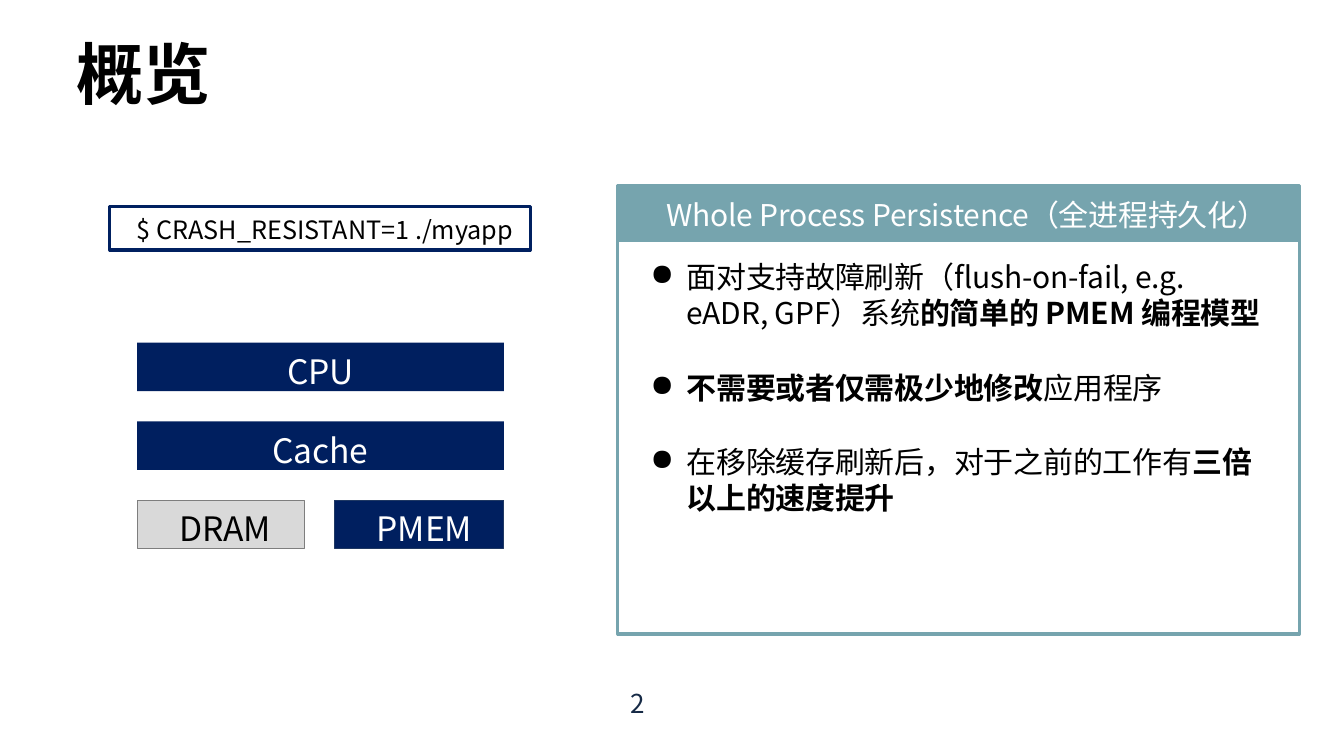
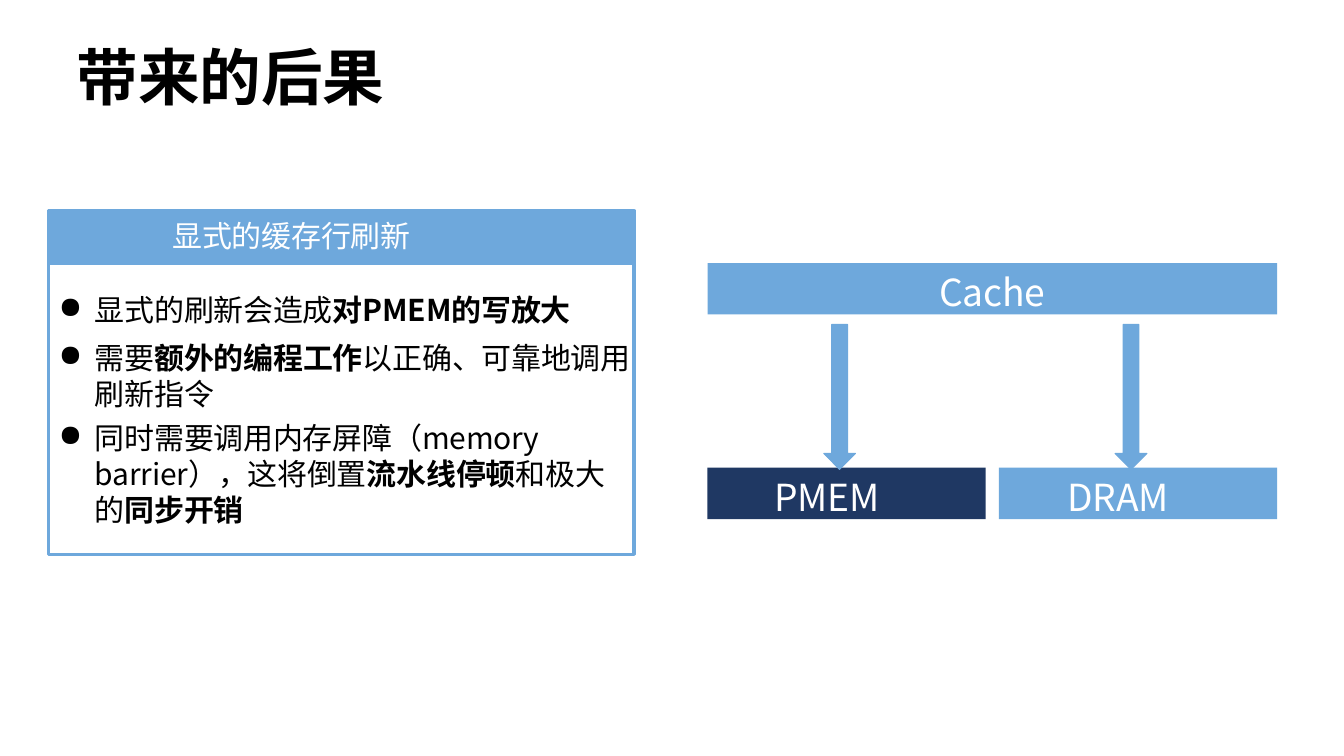
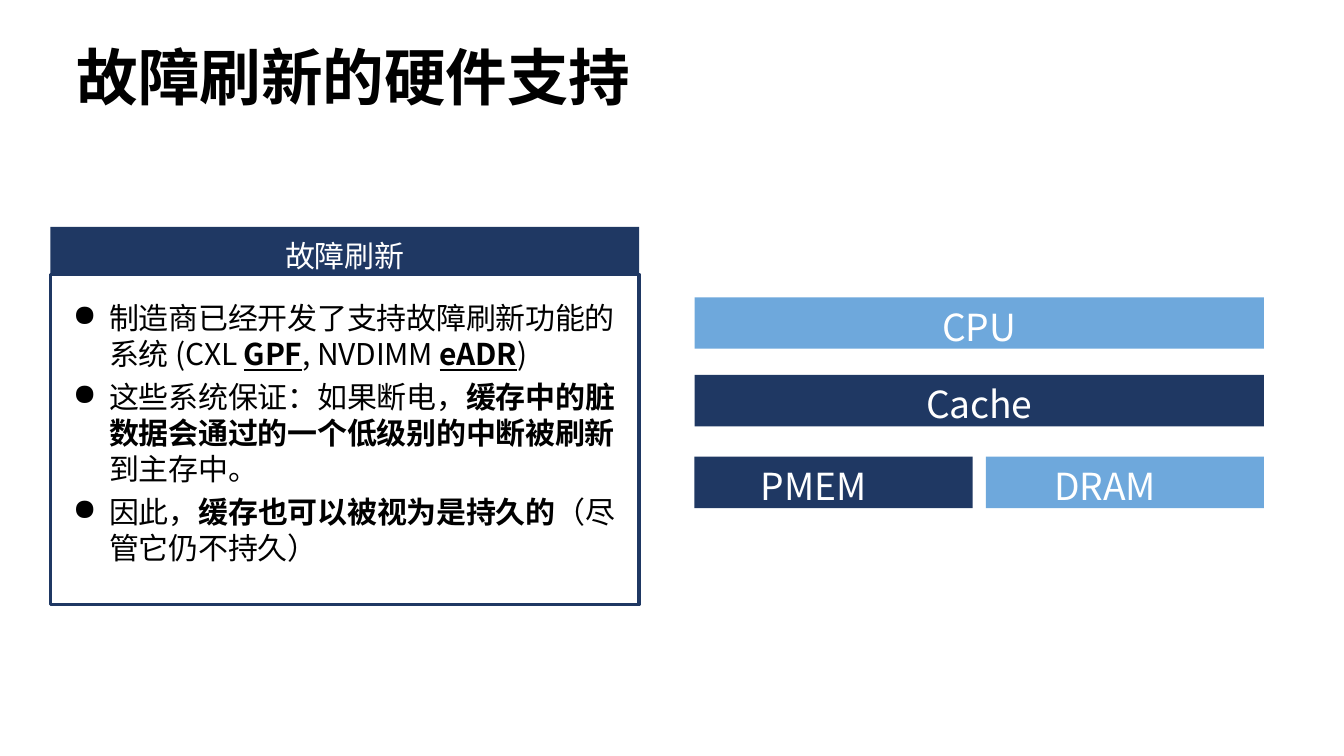
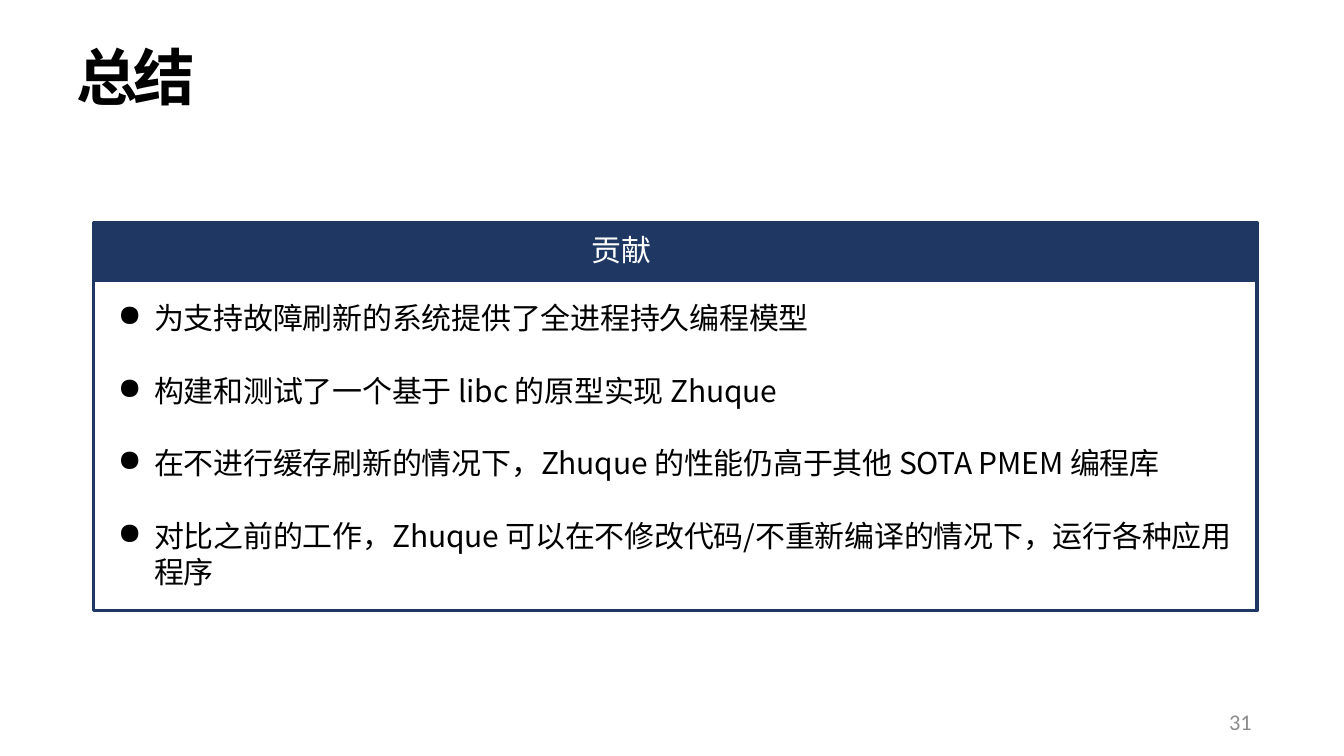
"""Four slides on whole process persistence."""
from pptx import Presentation
from pptx import util as u
from pptx.dml import color
from pptx.enum import shapes, text
from pptx.oxml import ns, xmlchemy as xml

Pt = u.Pt
FONT = "Noto Sans CJK SC"
HUES = {
    "black": "000000", "white": "FFFFFF", "teal": "76A4AE", "deep": "001F5F",
    "edge": "002060", "navy": "1F3863", "sky": "6EA8DC", "pale": "D9D9D9",
    "grey": "7E7E7E", "ink": "162A46", "mist": "8C8C8C",
}
SIDES = {"left": text.PP_ALIGN.LEFT, "mid": text.PP_ALIGN.CENTER,
         "right": text.PP_ALIGN.RIGHT}
BODY = 21.4
LABEL = 26.6
HANG = 25.9
BAR = 36.7
WIDE = 406.8
HALF = 198.7
STEP = WIDE - HALF


def hue(name):
    """Return a named colour."""
    return color.RGBColor.from_string(HUES[name])


def child(node, tag, **attrs):
    """Append an XML child with attributes."""
    item = xml.OxmlElement(tag)
    for key, val in attrs.items():
        item.set(key, val)
    node.append(item)


def write(box, lines, size=BODY, tone="black", font=FONT, side="left",
          pads=(0, 1.4, 0), bold=False, spc=-0.1, indent=0, gaps=(),
          lead=None, middle=False):
    """Fill a box with paragraphs; a run is a string or (string, marks)."""
    frame = box.text_frame
    frame.word_wrap = True
    frame.margin_left, frame.margin_top, frame.margin_right = map(Pt, pads)
    frame.margin_bottom = 0
    frame.vertical_anchor = (text.MSO_ANCHOR.MIDDLE if middle
                             else text.MSO_ANCHOR.TOP)
    for num, runs in enumerate(lines):
        para = frame.add_paragraph() if num else frame.paragraphs[0]
        if indent:
            props = para._p.get_or_add_pPr()
            props.set("marL", str(Pt(indent)))
            props.set("indent", str(-Pt(HANG)))
            child(props, "a:buChar", char="●")
        para.alignment = SIDES[side]
        if lead:
            para.line_spacing = lead
        if num and gaps:
            para.space_before = Pt(gaps[num - 1])
        for part in [runs] if isinstance(runs, str) else runs:
            words, marks = (part, "") if isinstance(part, str) else part
            run = para.add_run()
            run.text = words
            run.font.size = Pt(size)
            run.font.name = font
            run.font.bold = bold or "b" in marks
            run.font.underline = "u" in marks
            run.font.color.rgb = hue(tone)
            props = run._r.get_or_add_rPr()
            props.set("spc", str(round(spc * 100)))
            props.find(ns.qn("a:latin")).addnext(xml.OxmlElement("a:ea"))
            props.find(ns.qn("a:ea")).set("typeface", font)


def note(page, lines, x, y, w, h, **form):
    """Add a text box."""
    write(page.shapes.add_textbox(Pt(x), Pt(y), Pt(w), Pt(h)), lines, **form)


def block(page, x, y, w, h, fill=None, line=None, width=2.25,
          kind=shapes.MSO_SHAPE.RECTANGLE):
    """Add a plain preset shape."""
    box = page.shapes.add_shape(kind, Pt(x), Pt(y), Pt(w), Pt(h))
    box.shadow.inherit = False
    if fill:
        box.fill.solid()
        box.fill.fore_color.rgb = hue(fill)
    else:
        box.fill.background()
    if line:
        box.line.color.rgb = hue(line)
        box.line.width = Pt(width)
    else:
        box.line.fill.background()
    return box


def bar(page, label, x, y, w, h=BAR, fill="sky", line=None, size=LABEL,
        tone="white", pad=0, top=4.7):
    """Add a labelled bar, centred unless it has a left pad."""
    box = block(page, x, y, w, h, fill, line, 0.75)
    write(box, [label], size=size, tone=tone, pads=(pad, top, 0),
          side="left" if pad else "mid")


def pair(page, x, y):
    """Add the two memory bars side by side."""
    bar(page, "PMEM", x, y, HALF, fill="navy", pad=47.5)
    bar(page, "DRAM", x + STEP, y, HALF, pad=49)


def panel(page, label, x, y, w, head, body, tone, pad, top, edge=True):
    """Add a framed panel with a coloured head."""
    block(page, x, y + head, w, body, line=tone)
    box = block(page, x, y, w, head, tone, tone if edge else None)
    write(box, [label], tone="white", pads=(pad, top, 0),
          side="left" if pad else "mid")


def start(deck, title, size=44, y=25.9, h=54.7, spc=-0.1):
    """Add a blank slide with its title."""
    page = deck.slides.add_slide(deck.slide_layouts[6])
    note(page, [title], 54, y, 546, h, size=size, bold=True, spc=spc,
         pads=(0.7, 1.4, 0), middle=True)
    return page


def survey(deck):
    """Build the overview."""
    page = start(deck, "概览", 48, 21.6, 59.8, 0)
    panel(page, "Whole Process Persistence（全进程持久化）",
          441.4, 132.5, 486.7, 39, 281.4, "teal", 34.5, 7.8)
    note(page, [
        ["面对支持故障刷新（flush-on-fail, e.g. eADR, GPF）系统",
         ("的简单的 PMEM 编程模型", "b")],
        [("不需要或者仅需极少地修改", "b"), "应用程序"],
        ["在移除缓存刷新后，对于之前的工作有", ("三倍以上的速度提升", "b")],
    ], 463, 183.6, 441.4, 212.4, indent=27.4, gaps=(27.3, 27.3))
    note(page, ["2"], 447.8, 489.6, 18, 24.5, size=18.6, tone="ink",
         pads=(2.9, 1.4, 0))
    left, top, step, high = 97.9, 244.8, 56.2, 34.6
    for row, label in enumerate(("CPU", "Cache")):
        bar(page, label, left, top + row * step, 262.1, high, "deep",
            size=24, top=5.8)
    for label, x, w, fill, line, tone in (
            ("PMEM", 239, 121, "deep", "navy", "white"),
            ("DRAM", left, 119.5, "pale", "grey", "black")):
        bar(page, label, x, top + 2 * step, w, high, fill, line, 24, tone,
            30.2, 5.8)
    box = block(page, 78.5, 147.6, 300.2, 31, line="edge")
    write(box, ["$ CRASH_RESISTANT=1 ./myapp"], size=18, side="mid",
          pads=(14.4, 3.6, 7.2), spc=0, lead=1.1)


def effects(deck):
    """Build the consequences of explicit flushing."""
    page = start(deck, "带来的后果")
    panel(page, "显式的缓存行刷新", 34.6, 150.5, 418.3, 37.8, 207.7, "sky",
          88.6, 5)
    left, low = 505.4, 334.1
    pair(page, left, low)
    bar(page, "Cache", left, 187.9, WIDE)
    for col in range(2):
        block(page, left + 83 + col * STEP, 231.8, 22.7, 103.5, "sky", "sky",
              0.75, shapes.MSO_SHAPE.DOWN_ARROW)
    note(page, [
        ["显式的刷新会造成", ("对PMEM的写放大", "b")],
        ["需要", ("额外的编程工作", "b"), "以正确、可靠地调用刷新指令"],
        ["同时需要调用内存屏障（memory barrier），这将倒置",
         ("流水线停顿", "b"), "和极大的", ("同步开销", "b")],
    ], 34.6, 198, 418.3, 180, indent=33.1, gaps=(9, 5.3), pads=(0, 10.1, 0))


def support(deck):
    """Build the hardware support for flush on fail."""
    page = start(deck, "故障刷新的硬件支持")
    panel(page, "故障刷新", 36, 162, 420.5, 33.8, 236.2, "navy", 0, 7.9,
          edge=False)
    left = 496.1
    bar(page, "CPU", left, 212.4, WIDE)
    bar(page, "Cache", left, 267.8, WIDE, fill="navy")
    pair(page, left, 326.2)
    note(page, [
        ["制造商已经开发了支持故障刷新功能的系统 (CXL ", ("GPF", "bu"),
         ", NVDIMM ", ("eADR", "bu"), ")"],
        ["这些系统保证：如果断电，",
         ("缓存中的脏数据会通过的一个低级别的中断被刷新", "b"), "到主存中。"],
        ["因此，", ("缓存也可以被视为是持久的", "b"), "（尽管它仍不持久）"],
    ], 36, 197.3, 406.1, 207.4, indent=42, gaps=(5, 5), pads=(0, 16.6, 0))


def close(deck):
    """Build the summary."""
    page = start(deck, "总结", spc=-3.1)
    panel(page, "贡献", 67, 159.1, 830.9, 41, 236.2, "navy", 355.6, 6.5)
    note(page, [
        "为支持故障刷新的系统提供了全进程持久编程模型",
        "构建和测试了一个基于 libc 的原型实现 Zhuque",
        "在不进行缓存刷新的情况下，Zhuque 的性能仍高于其他 SOTA PMEM 编程库",
        "对比之前的工作，Zhuque 可以在不修改代码/不重新编译的情况下，运行各种应用程序",
    ], 82.8, 212.4, 799.2, 209.5, indent=27.4, gaps=(26.3,) * 3)
    note(page, ["31"], 678.2, 504, 216, 20.9, size=16, tone="mist",
         font="Calibri", side="right", spc=0, middle=True)


def main():
    """Build and save the deck."""
    deck = Presentation()
    deck.slide_width, deck.slide_height = Pt(960), Pt(540)
    for build in (survey, effects, support, close):
        build(deck)
    deck.save("out.pptx")


if __name__ == "__main__":
    main()
